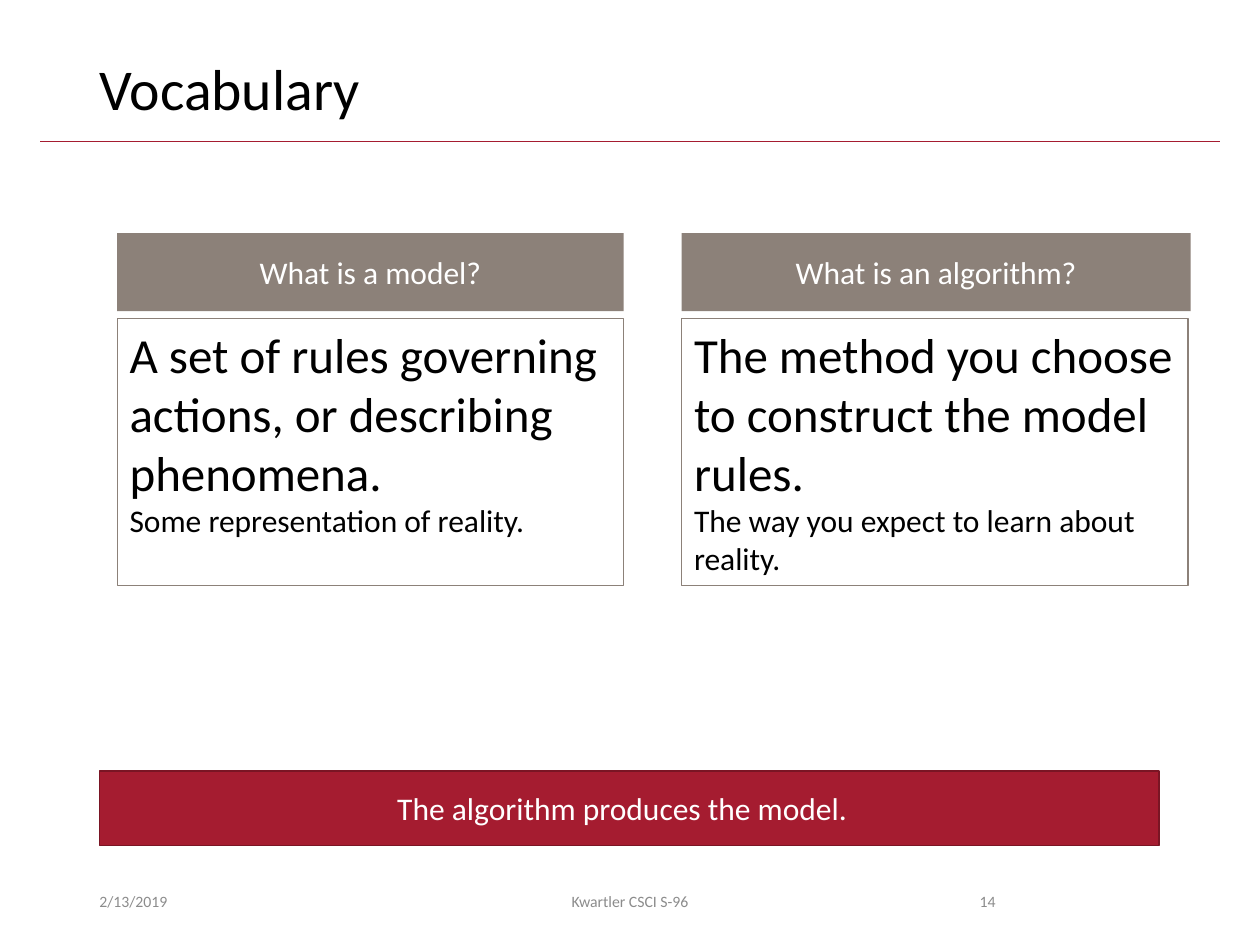
"""Build the Vocabulary slide comparing a model with an algorithm."""
from pptx import Presentation
from pptx.dml.color import RGBColor
from pptx.enum.shapes import MSO_CONNECTOR, MSO_SHAPE
from pptx.enum.text import MSO_ANCHOR as Anchor, PP_ALIGN as Align
from pptx.oxml.ns import qn
from pptx.util import Inches, Pt
from lxml import etree

CRIMSON, TAUPE, GREY, WHITE, BLACK = "A51C30", "8C8179", "8C8C8C", "FFFFFF", "000000"


def color(value):
    """Turn a hex string into a colour."""
    return RGBColor.from_string(value)


def add_box(place, lines, ink, align=Align.LEFT, anchor=Anchor.MIDDLE,
            fill=None, line=None, weight=0.75):
    """Add a text box, or a rectangle when it has a fill or a line."""
    area = [Inches(value) for value in place]
    if fill or line:
        box = page.shapes.add_shape(MSO_SHAPE.RECTANGLE, *area)
        box.shadow.inherit = False
    else:
        box = page.shapes.add_textbox(*area)
    if fill:
        box.fill.solid()
        box.fill.fore_color.rgb = color(fill)
    else:
        box.fill.background()
    if line:
        box.line.color.rgb = color(line)
        box.line.width = Pt(weight)
    else:
        box.line.fill.background()
    frame = box.text_frame
    frame.word_wrap = True
    frame.vertical_anchor = anchor
    for index, (text, size) in enumerate(lines):
        para = frame.paragraphs[0] if index == 0 else frame.add_paragraph()
        para.alignment = align
        span = para.add_run()
        span.text = text
        span.font.name = "Calibri"
        span.font.size = Pt(size)
        span.font.color.rgb = color(ink)
    return box


deck = Presentation()
deck.slide_width, deck.slide_height = Inches(10), Inches(7.5)
page = deck.slides.add_slide(deck.slide_layouts[6])

rule = page.shapes.add_connector(
    MSO_CONNECTOR.STRAIGHT, Inches(0.32), Inches(1.12), Inches(9.68), Inches(1.12))
rule.line.color.rgb = color(CRIMSON)
rule.line.width = Pt(0.5)
etree.SubElement(rule._element.spPr, qn("a:effectLst"))

title = add_box((0.69, 0.4, 8.62, 0.65), [("Vocabulary", 33)], BLACK)
title.text_frame.paragraphs[0].line_spacing = 0.9

footers = [
    (0.69, 2.25, "2/13/2019", Align.LEFT),
    (3.31, 3.38, "Kwartler CSCI S-96", Align.CENTER),
    (7.06, 0.94, "14", Align.RIGHT),
]
for left, width, text, align in footers:
    add_box((left, 6.95, width, 0.4), [(text, 9)], GREY, align)

columns = [
    (0.93, 4.02, "What is a model?",
     "A set of rules governing actions, or describing phenomena. ",
     "Some representation of reality."),
    (5.41, 4.04, "What is an algorithm?",
     "The method you choose to construct the model rules. ",
     "The way you expect to learn about reality."),
]
for left, width, question, answer, detail in columns:
    add_box((left, 1.85, width, 0.62), [(question, 18)], WHITE, Align.CENTER, fill=TAUPE)
    add_box((left, 2.53, 4.02, 2.12), [(answer, 28), (detail, 18)], BLACK,
            anchor=Anchor.TOP, line=TAUPE)

add_box((0.79, 6.12, 8.41, 0.59), [("The algorithm produces the model.  ", 18)], WHITE,
        Align.CENTER, fill=CRIMSON, line="7A1524", weight=1)

deck.save("out.pptx")
